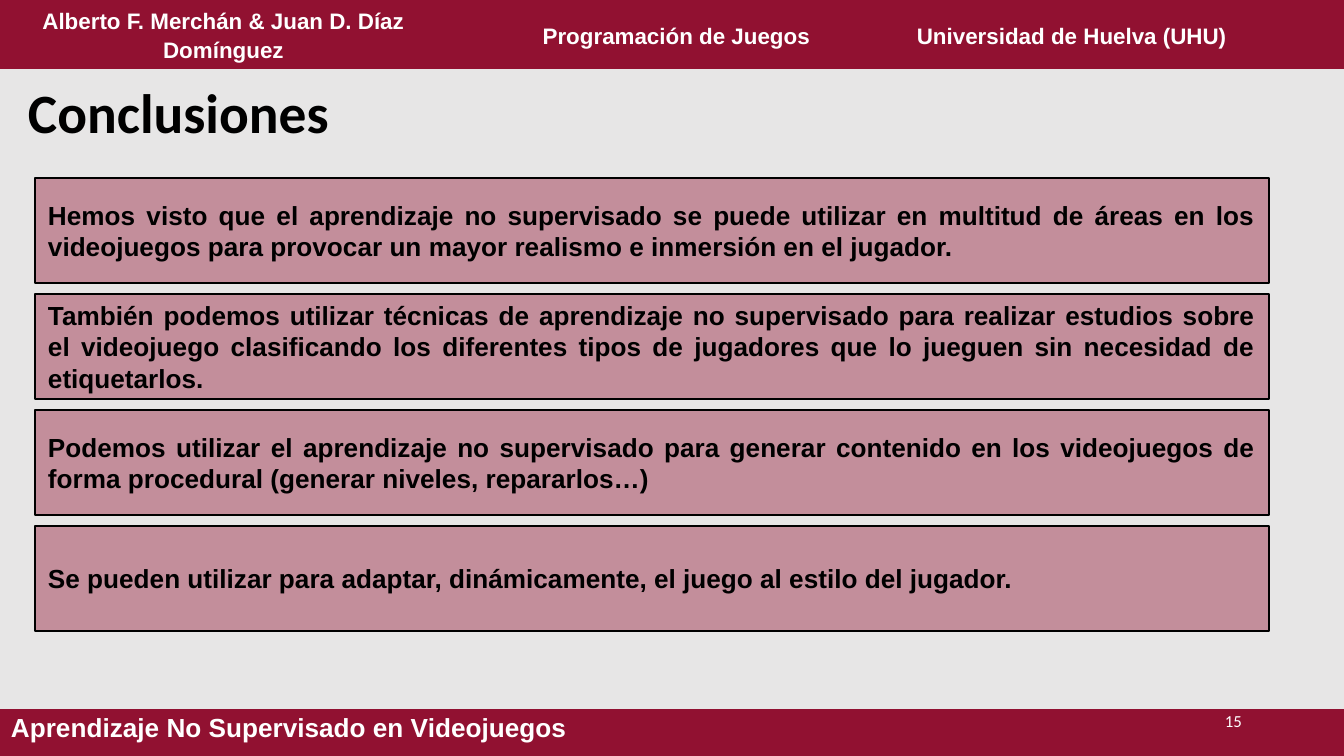
"""Builds the conclusions slide of a talk on unsupervised learning in video games."""
from lxml import etree
from pptx import Presentation
from pptx.dml.color import RGBColor
from pptx.enum.shapes import MSO_SHAPE
from pptx.enum.text import MSO_ANCHOR, PP_ALIGN
from pptx.oxml.ns import qn
from pptx.util import Pt

EMU_PER_PX = 914400 / 134.4
SLIDE_WIDTH, SLIDE_HEIGHT = 1344, 756

MAROON = RGBColor(0x91, 0x11, 0x31)
GREY = RGBColor(0xE7, 0xE6, 0xE6)
BLACK = RGBColor(0, 0, 0)
WHITE = RGBColor(0xFF, 0xFF, 0xFF)

LEFT, CENTER = PP_ALIGN.LEFT, PP_ALIGN.CENTER
RIGHT, JUSTIFY = PP_ALIGN.RIGHT, PP_ALIGN.JUSTIFY
TOP, MIDDLE = MSO_ANCHOR.TOP, MSO_ANCHOR.MIDDLE
RECTANGLE = MSO_SHAPE.RECTANGLE

HEADER = [
    ("Alberto F. Merchán & Juan D. Díaz Domínguez", CENTER),
    ("Programación de Juegos", CENTER),
    ("Universidad de Huelva (UHU)", LEFT),
]
FOOTER = [("Aprendizaje No Supervisado en Videojuegos", LEFT), ("", LEFT)]
CONCLUSIONS = [
    "Hemos visto que el aprendizaje no supervisado se puede utilizar en multitud de áreas "
    "en los videojuegos para provocar un mayor realismo e inmersión en el jugador.",
    "También podemos utilizar técnicas de aprendizaje no supervisado para realizar estudios "
    "sobre el videojuego clasificando los diferentes tipos de jugadores que lo jueguen sin "
    "necesidad de etiquetarlos.",
    "Podemos utilizar el aprendizaje no supervisado para generar contenido en los videojuegos "
    "de forma procedural (generar niveles, repararlos…)",
    "Se pueden utilizar para adaptar, dinámicamente, el juego al estilo del jugador.",
]
CONCLUSION_TOP, CONCLUSION_PITCH = 178, 116


def px(*lengths):
    return [round(length * EMU_PER_PX) for length in lengths]


class SlideBuilder:
    def __init__(self, slide):
        self.slide = slide
        self.heading_font = "Calibri"
        self.body_font = "Arial"
        background = slide.background.fill
        background.solid()
        background.fore_color.rgb = GREY

    def add_text(self, frame, text, font, size, color, bold=True, align=LEFT, spacing=1.0):
        paragraph = frame.paragraphs[0]
        paragraph.alignment = align
        paragraph.line_spacing = spacing
        if not text:
            etree.SubElement(paragraph._p, qn("a:endParaRPr"), sz=str(size * 100))
            return
        run = paragraph.add_run()
        run.text = text
        run.font.name, run.font.size, run.font.bold = font, Pt(size), bold
        run.font.color.rgb = color

    def inset(self, holder, horizontal, vertical, anchor=MIDDLE):
        holder.margin_left, holder.margin_right = px(horizontal, horizontal)
        holder.margin_top, holder.margin_bottom = px(vertical, vertical)
        holder.vertical_anchor = anchor

    def title(self, text, *bounds):
        title = self.slide.shapes.title
        title.left, title.top, title.width, title.height = px(*bounds)
        self.inset(title.text_frame, 9, 5)
        self.add_text(title.text_frame, text, self.heading_font, 29.7, BLACK, spacing=0.9)

    def band(self, entries, top, height, widths, size, anchor, spacing=1.0):
        table = self.slide.shapes.add_table(
            1, len(entries), *px(0, top, SLIDE_WIDTH, height)).table
        table.first_row = table.horz_banding = False
        for index, (text, align) in enumerate(entries):
            table.columns[index].width = px(widths[index])[0]
            cell = table.cell(0, index)
            cell.fill.solid()
            cell.fill.fore_color.rgb = MAROON
            self.inset(cell, 11, 5, anchor)
            properties = cell._tc.get_or_add_tcPr()
            for position, side in enumerate("LRTB"):
                border = etree.Element(qn(f"a:ln{side}"), w="0")
                etree.SubElement(border, qn("a:noFill"))
                properties.insert(position, border)
            self.add_text(cell.text_frame, text, self.body_font, size, WHITE,
                          align=align, spacing=spacing)

    def page_number(self, text, *bounds):
        frame = self.slide.shapes.add_textbox(*px(*bounds)).text_frame
        frame.word_wrap = True
        self.inset(frame, 9, 5)
        self.add_text(frame, text, self.heading_font, 9, WHITE, bold=False, align=RIGHT)

    def conclusion(self, text, *bounds):
        box = self.slide.shapes.add_shape(RECTANGLE, *px(*bounds))
        box.shadow.inherit = False
        box.fill.solid()
        box.fill.fore_color.rgb = MAROON
        color = box._element.spPr.find(qn("a:solidFill")).find(qn("a:srgbClr"))
        etree.SubElement(color, qn("a:alpha"), val="41000")
        box.line.color.rgb = BLACK
        box.line.width = Pt(0.75)
        box.text_frame.word_wrap = True
        self.inset(box.text_frame, 13, 13)
        self.add_text(box.text_frame, text, self.body_font, 14, BLACK, align=JUSTIFY)


def main():
    deck = Presentation()
    deck.slide_width, deck.slide_height = px(SLIDE_WIDTH, SLIDE_HEIGHT)
    builder = SlideBuilder(deck.slides.add_slide(deck.slide_layouts[5]))
    builder.band(FOOTER, 709, 47, [896, 448], 14, TOP)
    builder.title("Conclusiones", 19, 83, 1308, 65)
    builder.band(HEADER, 0, 69, [447, 459, 438], 12, MIDDLE, spacing=1.15)
    builder.page_number("15", 949, 701, 302, 40)
    for index, text in enumerate(CONCLUSIONS):
        builder.conclusion(text, 35, CONCLUSION_TOP + index * CONCLUSION_PITCH, 1234, 105)
    deck.save("out.pptx")


if __name__ == "__main__":
    main()
